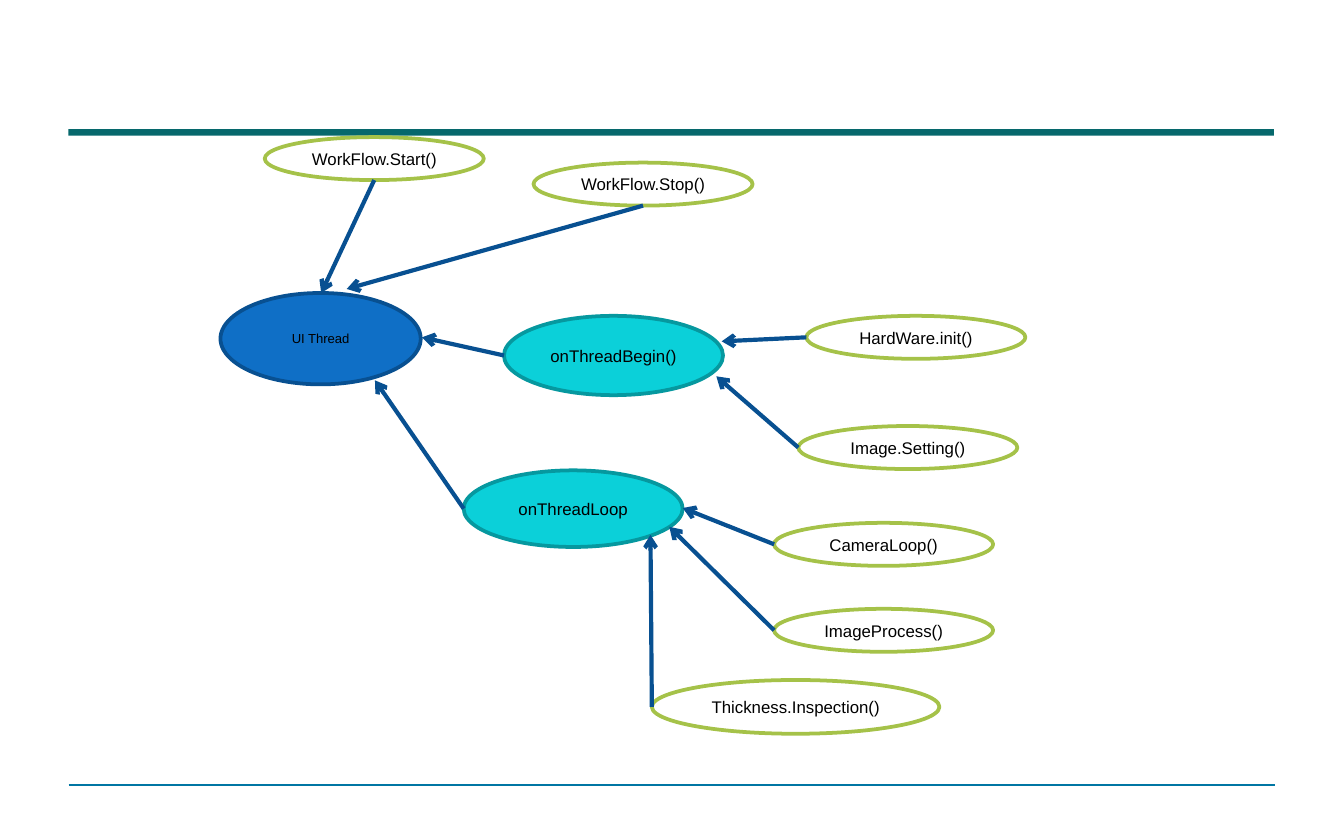
from lxml import etree
from pptx import Presentation
from pptx import util as u
from pptx.dml.color import RGBColor
from pptx.enum import shapes, text
from pptx.oxml.ns import qn

PX = 9144  # EMU per px, 100 px to the inch
SLIDE = (1000, 625)
BAR = (51, 96, 897, 5)
FOOTER_RULE = ((51, 584), (949, 584))

# style: fill, outline, text size
STYLES = {
    "thread": ("0F6FC6", "085091", 7),
    "handler": ("0BD0D9", "06989F", 9),
    "call": ("FFFFFF", "A5C249", 9),
}
# label, style, left, top, width, height
NODES = [
    ("UI Thread", "thread", 164, 218, 149, 68),
    ("WorkFlow.Start()", "call", 197, 102, 163, 32),
    ("WorkFlow.Stop()", "call", 397, 121, 163, 32),
    ("onThreadBegin()", "handler", 375, 235, 163, 59),
    ("onThreadLoop", "handler", 345, 350, 163, 57),
    ("HardWare.init()", "call", 600, 235, 163, 32),
    ("Image.Setting()", "call", 594, 317, 163, 32),
    ("Thickness.Inspection()", "call", 485, 506, 214, 40),
    ("CameraLoop()", "call", 576, 389, 163, 32),
    ("ImageProcess()", "call", 576, 453, 163, 32),
]
# source node, side it leaves from, arrow tip
ARROWS = [
    ("WorkFlow.Start()", "bottom", (239, 218)),
    ("WorkFlow.Stop()", "bottom", (258, 215)),
    ("onThreadBegin()", "left", (314, 251)),
    ("onThreadLoop", "left", (279, 283)),
    ("HardWare.init()", "left", (537, 254)),
    ("Image.Setting()", "left", (533, 280)),
    ("CameraLoop()", "left", (508, 378)),
    ("ImageProcess()", "left", (498, 392)),
    ("Thickness.Inspection()", "left", (484, 398)),
]


def px(*values):
    return [round(v * PX) for v in values]


def rgb(color):
    return RGBColor.from_string(color)


def add_shape(slide, kind, box, fill):
    sp = slide.shapes.add_shape(kind, *px(*box))
    sp.shadow.inherit = False
    sp.fill.solid()
    sp.fill.fore_color.rgb = rgb(fill)
    return sp


def add_node(slide, label, style, *box):
    fill, outline, size = STYLES[style]
    sp = add_shape(slide, shapes.MSO_SHAPE.OVAL, box, fill)
    sp.line.color.rgb = rgb(outline)
    sp.line.width = u.Pt(2)
    tf = sp.text_frame
    tf.word_wrap = True
    tf.vertical_anchor = text.MSO_ANCHOR.MIDDLE
    p = tf.paragraphs[0]
    p.alignment = text.PP_ALIGN.CENTER
    r = p.add_run()
    r.text = label
    r.font.name = "Arial"
    r.font.size = u.Pt(size)
    r.font.color.rgb = rgb("000000")


def add_line(slide, start, end, color, width, arrow=False):
    cn = slide.shapes.add_connector(
        shapes.MSO_CONNECTOR.STRAIGHT, *px(*start, *end))
    cn.line.color.rgb = rgb(color)
    cn.line.width = u.Pt(width)
    if arrow:
        etree.SubElement(cn.line._get_or_add_ln(), qn("a:tailEnd"), type="arrow")
    etree.SubElement(cn._element.spPr, qn("a:effectLst"))


def side_point(box, side):
    """Middle of the left or bottom side of a box."""
    left, top, width, height = box
    if side == "left":
        return left, top + height / 2
    return left + width / 2, top + height


def main():
    prs = Presentation()
    prs.slide_width, prs.slide_height = px(*SLIDE)
    slide = prs.slides.add_slide(prs.slide_layouts[6])

    add_line(slide, *FOOTER_RULE, "0076A3", 0.75)
    bar = add_shape(slide, shapes.MSO_SHAPE.RECTANGLE, BAR, "06686C")
    bar.line.fill.background()

    for node in NODES:
        add_node(slide, *node)
    boxes = {label: box for label, _, *box in NODES}
    for source, side, tip in ARROWS:
        add_line(slide, side_point(boxes[source], side), tip,
                 "085091", 2.25, arrow=True)

    prs.save("out.pptx")


if __name__ == "__main__":
    main()
